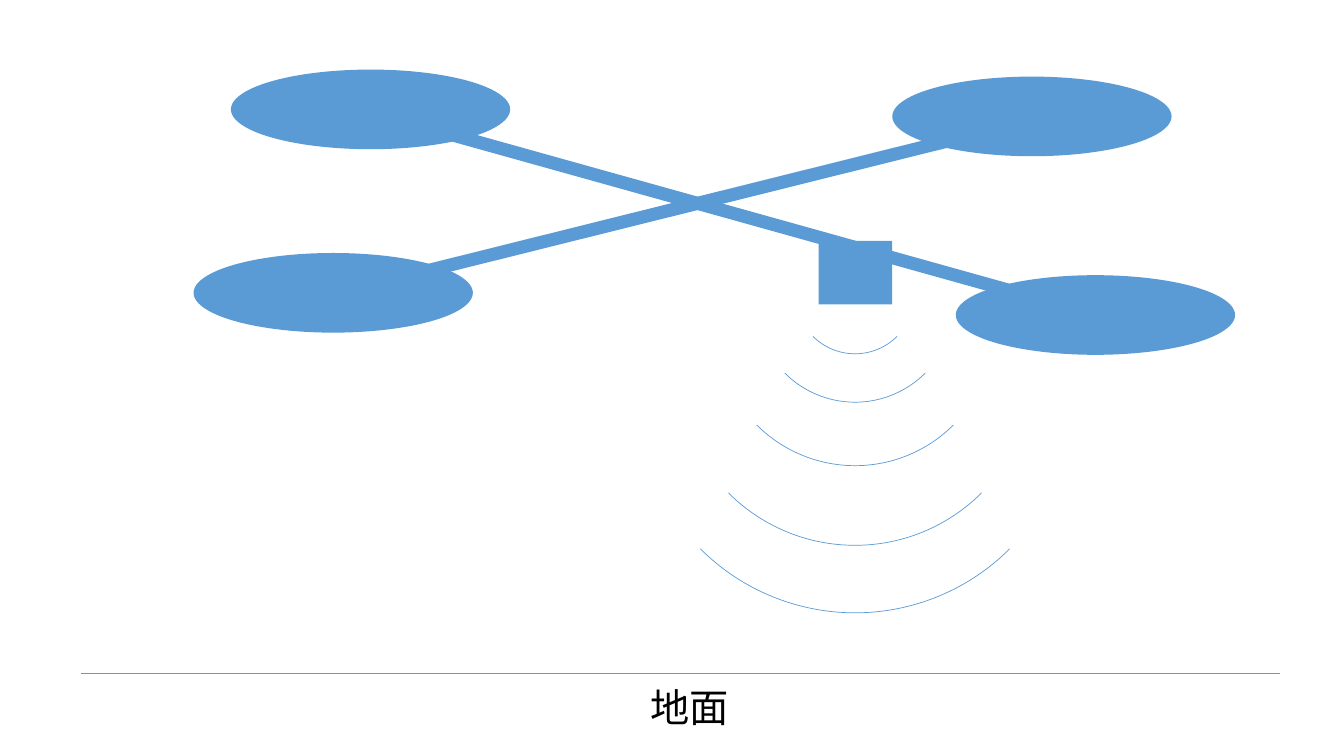
"""Draw a quadcopter whose sensor sends waves toward the ground."""
import pptx
import pptx.util
import pptx.dml.color
import pptx.enum.shapes
import pptx.enum.text
import pptx.oxml.ns
from dataclasses import dataclass
from lxml import etree

Inches = pptx.util.Inches
Pt = pptx.util.Pt
Kind = pptx.enum.shapes.MSO_SHAPE


@dataclass
class Theme:
    blue: str = "5B9BD5"
    black: str = "000000"
    paper: str = "FFFFFF"
    font: str = "Calibri"
    size: float = 28
    line: float = 0.5


class Deck:
    def __init__(self, theme):
        self.theme = theme
        self.file = pptx.Presentation()
        self.file.slide_width = Inches(13.33)
        self.file.slide_height = Inches(7.5)
        self.slide = self.file.slides.add_slide(self.file.slide_layouts[6])
        self.paint(self.slide.background.fill, theme.paper)

    def color(self, code):
        return pptx.dml.color.RGBColor.from_string(code)

    def paint(self, fill, code):
        fill.solid()
        fill.fore_color.rgb = self.color(code)

    def stroke(self, line):
        line.width = Pt(self.theme.line)
        line.color.rgb = self.color(self.theme.blue)

    def shape(self, kind, box, turn=0):
        item = self.slide.shapes.add_shape(kind, *map(Inches, box))
        item.rotation = turn
        item.shadow.inherit = False
        return item

    def solid(self, kind, box, turn=0):
        item = self.shape(kind, box, turn)
        self.paint(item.fill, self.theme.blue)
        item.line.fill.background()

    def wave(self, box):
        item = self.shape(Kind.ARC, box, 135)
        item.fill.background()
        self.stroke(item.line)

    def rule(self, start, end):
        item = self.slide.shapes.add_connector(
            pptx.enum.shapes.MSO_CONNECTOR.STRAIGHT, *map(Inches, start + end))
        self.stroke(item.line)
        props = item._element.spPr
        etree.SubElement(props, pptx.oxml.ns.qn("a:effectLst"))

    def label(self, text, box):
        frame = self.slide.shapes.add_textbox(*map(Inches, box)).text_frame
        frame.word_wrap = False
        frame.auto_size = pptx.enum.text.MSO_AUTO_SIZE.SHAPE_TO_FIT_TEXT
        run = frame.paragraphs[0].add_run()
        run.text = text
        run.font.name = self.theme.font
        run.font.size = Pt(self.theme.size)
        run.font.color.rgb = self.color(self.theme.black)


deck = Deck(Theme())

deck.solid(Kind.RECTANGLE, (8.12, 2.39, 0.73, 0.63))
for left, turn in ((1.31, 346), (1.44, 15.6)):
    deck.solid(Kind.MATH_MINUS, (left, 1.76, 11.08, 0.55), turn)
for left, top in ((1.92, 2.51), (2.29, 0.69), (9.48, 2.73), (8.85, 0.76)):
    deck.solid(Kind.OVAL, (left, top, 2.77, 0.79))

axis = 8.48
for step, base in enumerate((3.51, 3.99, 4.62, 5.41, 6.08)):
    width = 1.18 + 0.79 * step
    deck.wave((axis - width / 2, base - width, width, width))

deck.rule((12.7, 6.68), (0.8, 6.68))
deck.label("地面", (6.35, 6.73, 0.99, 0.57))

deck.file.save("out.pptx")
